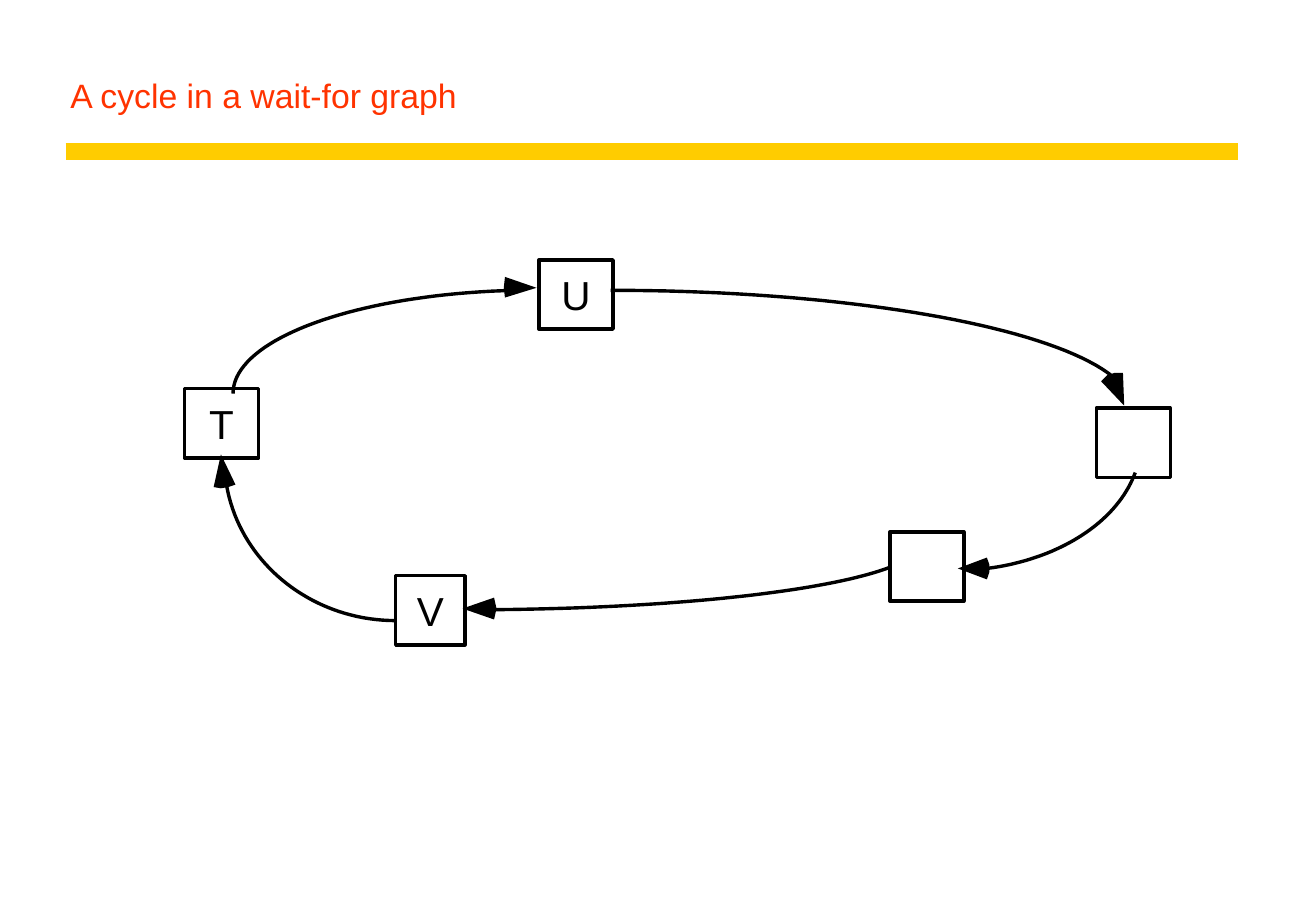
from dataclasses import dataclass

from lxml import etree
from pptx import Presentation
from pptx.dml.color import RGBColor
from pptx.enum.shapes import MSO_CONNECTOR, MSO_SHAPE
from pptx.enum.text import MSO_ANCHOR, MSO_AUTO_SIZE, PP_ALIGN
from pptx.oxml.ns import qn
from pptx.util import Pt

STRAIGHT = MSO_CONNECTOR.STRAIGHT
RECTANGLE = MSO_SHAPE.RECTANGLE
NO_AUTOFIT = MSO_AUTO_SIZE.NONE
LEFT, CENTER = PP_ALIGN.LEFT, PP_ALIGN.CENTER
BOTTOM, MIDDLE = MSO_ANCHOR.BOTTOM, MSO_ANCHOR.MIDDLE

EMU_PER_PX = 9144
CURVE_STEPS = 40


@dataclass(frozen=True)
class Theme:
    font: str = "Arial"
    title_color: RGBColor = RGBColor(0xFF, 0x33, 0x00)
    rule_color: RGBColor = RGBColor(0xFF, 0xCC, 0x00)
    ink: RGBColor = RGBColor(0, 0, 0)
    paper: RGBColor = RGBColor(0xFF, 0xFF, 0xFF)
    title_size: int = 20
    node_size: int = 24
    rule_width: int = 10
    line_width: int = 2


THEME = Theme()

# Label, left, top, width, height within the graph
NODES = [
    ("U", 292, 0, 61, 57),
    ("V", 174, 260, 57, 57),
    ("T", 0, 106, 61, 57),
    ("", 581, 224, 61, 57),
    ("", 751, 122, 61, 57),
]

# Bezier control points, fraction of the curve hidden at its start,
# and arrowhead outline ending at the tip
ARROWS = [
    ([(40, 110), (40, 65), (142, 28), (273, 25)], 0,
     [(264, 31), (263, 23), (264, 14), (290, 23)]),
    ([(174, 297), (103, 297), (43, 247), (34, 181)], 0,
     [(42, 185), (36, 187), (30, 188), (24, 187), (30, 160)]),
    ([(351, 25), (556, 25), (732, 58), (772, 103)], 0,
     [(755, 100), (760, 95), (766, 93), (773, 93), (774, 120)]),
    ([(788, 148), (788, 203), (730, 248), (652, 255)], 0.17,
     [(661, 245), (663, 251), (663, 257), (661, 263), (637, 254)]),
    ([(605, 234), (605, 263), (446, 287), (246, 288)], 0.23,
     [(255, 278), (257, 287), (255, 296), (229, 287)]),
]


def px(value):
    return round(value * EMU_PER_PX)


def write_text(shape, text, *, size, color, align, anchor, inset=None):
    frame = shape.text_frame
    frame.word_wrap = True
    frame.auto_size = NO_AUTOFIT
    frame.vertical_anchor = anchor
    if inset is not None:
        frame.margin_left = frame.margin_right = px(inset)
        frame.margin_top = frame.margin_bottom = px(inset)
    frame.text = text
    paragraph = frame.paragraphs[0]
    paragraph.alignment = align
    font = paragraph.runs[0].font
    font.name = THEME.font
    font.size = Pt(size)
    font.color.rgb = color


def add_heading(slide, left, top, width, height):
    title = slide.shapes.title
    title.left, title.top = px(left), px(top)
    title.width, title.height = px(width), px(height)
    write_text(title, "A cycle in a wait-for graph", size=THEME.title_size,
               color=THEME.title_color, align=LEFT, anchor=BOTTOM)

    rule_top = px(top + height + 25)
    rule = slide.shapes.add_connector(STRAIGHT, px(left + 6), rule_top,
                                      px(left + width), rule_top)
    rule.line.color.rgb = THEME.rule_color
    rule.line.width = Pt(THEME.rule_width)
    etree.SubElement(rule._element.spPr, qn("a:effectLst"))


def outline(shape):
    shape.line.color.rgb = THEME.ink
    shape.line.width = Pt(THEME.line_width)


def add_node(slide, label, left, top, width, height):
    node = slide.shapes.add_shape(RECTANGLE, px(left), px(top),
                                  px(width), px(height))
    node.shadow.inherit = False
    node.fill.solid()
    node.fill.fore_color.rgb = THEME.paper
    outline(node)
    if label:
        write_text(node, label, size=THEME.node_size, color=THEME.ink,
                   align=CENTER, anchor=MIDDLE, inset=0)


def bezier_point(controls, fraction):
    rest = 1 - fraction
    weights = (rest ** 3, 3 * rest ** 2 * fraction,
               3 * rest * fraction ** 2, fraction ** 3)
    return tuple(sum(weight * point[axis]
                     for weight, point in zip(weights, controls))
                 for axis in (0, 1))


def add_path(slide, left, top, points, close):
    start, *others = [(px(left + x), px(top + y)) for x, y in points]
    builder = slide.shapes.build_freeform(*start)
    builder.add_line_segments(others, close=close)
    path_shape = builder.convert_to_shape()
    path_shape.shadow.inherit = False
    return path_shape


def add_arrow(slide, left, top, controls, hidden, head_points):
    curve_points = [
        bezier_point(controls, hidden + (1 - hidden) * step / CURVE_STEPS)
        for step in range(CURVE_STEPS + 1)
    ]
    curve = add_path(slide, left, top, curve_points, close=False)
    curve.fill.background()
    outline(curve)

    head = add_path(slide, left, top, head_points, close=True)
    head.fill.solid()
    head.fill.fore_color.rgb = THEME.ink
    head.line.fill.background()


def add_wait_for_graph(slide, left, top):
    for label, node_left, node_top, width, height in NODES:
        add_node(slide, label, left + node_left, top + node_top, width, height)
    for controls, hidden, head_points in ARROWS:
        add_arrow(slide, left, top, controls, hidden, head_points)


def main():
    presentation = Presentation()
    presentation.slide_width, presentation.slide_height = px(1084), px(750)
    title_only = presentation.slide_layouts[5]
    slide = presentation.slides.add_slide(title_only)
    add_heading(slide, 48, 25, 972, 75)
    add_wait_for_graph(slide, 152, 214)
    presentation.save("out.pptx")


if __name__ == "__main__":
    main()
